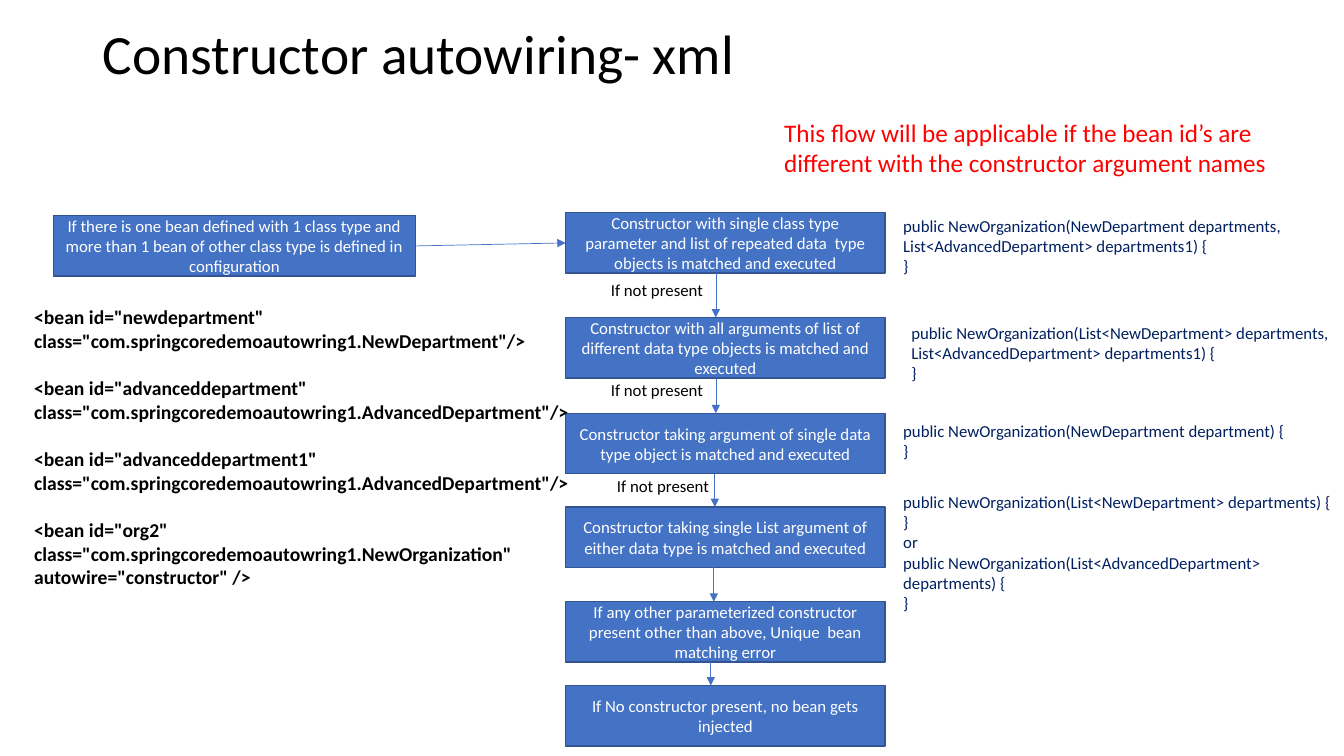
from pptx import Presentation
from pptx.dml.color import RGBColor
from pptx.enum.shapes import MSO_CONNECTOR as Connector, MSO_SHAPE as Shape
from pptx.enum.text import MSO_ANCHOR as Anchor, PP_ALIGN as Align
from pptx.oxml.ns import qn
from pptx.util import Inches, Pt
from lxml.etree import SubElement

TITLE = "Constructor autowiring- xml"
NOTE = ("This flow will be applicable if the bean id’s are different "
        "with the constructor argument names")
CONDITION = ("If there is one bean defined with 1 class type and more than 1 bean "
             "of other class type is defined in configuration")
STEP_LEFT, STEP_WIDTH, BOX_HEIGHT = 5.61, 3.17, 0.6
# top of the box, text, x of the arrow to the next box
STEPS = [
    (2.11, "Constructor with single class type parameter and list of repeated "
           "data  type objects is matched and executed", 7.1),
    (3.15, "Constructor with all arguments of list of different data type "
           "objects is matched and executed", 7.1),
    (4.1, "Constructor taking argument of single data type object is matched "
          "and executed", 7.09),
    (5.03, "Constructor taking single List argument of either data type is "
           "matched and executed", 7.08),
    (5.97, "If any other parameterized constructor present other than above, "
           "Unique  bean matching error", 7.05),
    (6.8, "If No constructor present, no bean gets injected", None),
]
BRANCH_LABELS = [(5.96, 2.73), (5.96, 3.72), (6.02, 4.67)]
BEANS = [
    '<bean id="newdepartment" class="com.springcoredemoautowring1.NewDepartment"/>',
    '<bean id="advanceddepartment" '
    'class="com.springcoredemoautowring1.AdvancedDepartment"/>',
    '<bean id="advanceddepartment1" '
    'class="com.springcoredemoautowring1.AdvancedDepartment"/>',
    '<bean id="org2" class="com.springcoredemoautowring1.NewOrganization" '
    'autowire="constructor" />',
]
# left, top, height, lines of code
SIGNATURES = [
    (8.86, 2.09, 0.71, ["public NewOrganization(NewDepartment departments, "
                        "List<AdvancedDepartment> departments1) {", "}"]),
    (8.94, 3.15, 0.71, ["public NewOrganization(List<NewDepartment> departments, "
                        "List<AdvancedDepartment> departments1) {", "}"]),
    (8.86, 4.12, 0.66, ["public NewOrganization(NewDepartment department) {", "}"]),
    (8.86, 4.83, 1.46, ["public NewOrganization(List<NewDepartment> departments) {",
                        "}", "or",
                        "public NewOrganization(List<AdvancedDepartment> departments) {",
                        "}"]),
]


def color(value):
    return RGBColor.from_string(value)


def write(frame, paragraphs, size=12, fill="000000", bold=False, align=Align.LEFT,
          anchor=Anchor.TOP, gap=0, line_spacing=None):
    """Fill a text frame; gap is the space between paragraphs in points."""
    frame.word_wrap = True
    frame.vertical_anchor = anchor
    for index, text in enumerate(paragraphs):
        paragraph = frame.add_paragraph() if index else frame.paragraphs[0]
        paragraph.alignment = align
        paragraph.line_spacing = line_spacing
        if index and gap:
            paragraph.space_before = Pt(gap)
        run = paragraph.add_run()
        run.text = text
        run.font.name = FlowSlide.FONT
        run.font.size = Pt(size)
        run.font.bold = bold
        run.font.color.rgb = color(fill)


class FlowSlide:
    FONT = "Calibri"
    BLUE, OUTLINE, WHITE = "4472C4", "325491", "FFFFFF"
    NAVY, RED = "002060", "FF0000"

    def __init__(self, presentation):
        self.shapes = presentation.slides.add_slide(presentation.slide_layouts[6]).shapes

    def text(self, left, top, width, height, paragraphs, **style):
        box = self.shapes.add_textbox(Inches(left), Inches(top),
                                      Inches(width), Inches(height))
        write(box.text_frame, paragraphs, **style)

    def box(self, left, top, width, text):
        shape = self.shapes.add_shape(Shape.RECTANGLE, Inches(left), Inches(top),
                                      Inches(width), Inches(BOX_HEIGHT))
        shape.shadow.inherit = False
        shape.fill.solid()
        shape.fill.fore_color.rgb = color(self.BLUE)
        shape.line.color.rgb = color(self.OUTLINE)
        shape.line.width = Pt(1)
        write(shape.text_frame, [text], fill=self.WHITE, align=Align.CENTER,
              anchor=Anchor.MIDDLE)
        return shape

    def arrow(self, x1=0, y1=0, x2=0, y2=0):
        connector = self.shapes.add_connector(Connector.STRAIGHT, Inches(x1), Inches(y1),
                                              Inches(x2), Inches(y2))
        connector.line.color.rgb = color(self.BLUE)
        connector.line.width = Pt(0.5)
        SubElement(connector.line._get_or_add_ln(), qn("a:tailEnd"), type="triangle")
        SubElement(connector._element.spPr, qn("a:effectLst"))
        return connector


def main():
    presentation = Presentation()
    presentation.slide_width, presentation.slide_height = Inches(13.33), Inches(7.5)
    slide = FlowSlide(presentation)

    slide.text(0.92, 0.4, 11.5, 0.32, [TITLE], size=39.6, anchor=Anchor.MIDDLE,
               line_spacing=0.9)
    slide.text(7.68, 1.11, 5.6, 0.71, [NOTE], size=18, fill=slide.RED)

    condition = slide.box(0.53, 2.14, 3.59, CONDITION)
    steps = [slide.box(STEP_LEFT, top, STEP_WIDTH, text) for top, text, _ in STEPS]

    entry = slide.arrow()
    entry.begin_connect(condition, 3)
    entry.end_connect(steps[0], 1)
    for (top, _, x), (next_top, _, _) in zip(STEPS, STEPS[1:]):
        slide.arrow(x, top + BOX_HEIGHT, x, next_top)

    for left, top in BRANCH_LABELS:
        slide.text(left, top, 1.49, 0.3, ["If not present"])
    slide.text(0.24, 2.98, 5.64, 2.93, BEANS, size=14, bold=True, gap=17)
    for left, top, height, lines in SIGNATURES:
        slide.text(left, top, 4.47, height, lines, fill=slide.NAVY)

    presentation.save("out.pptx")


if __name__ == "__main__":
    main()
